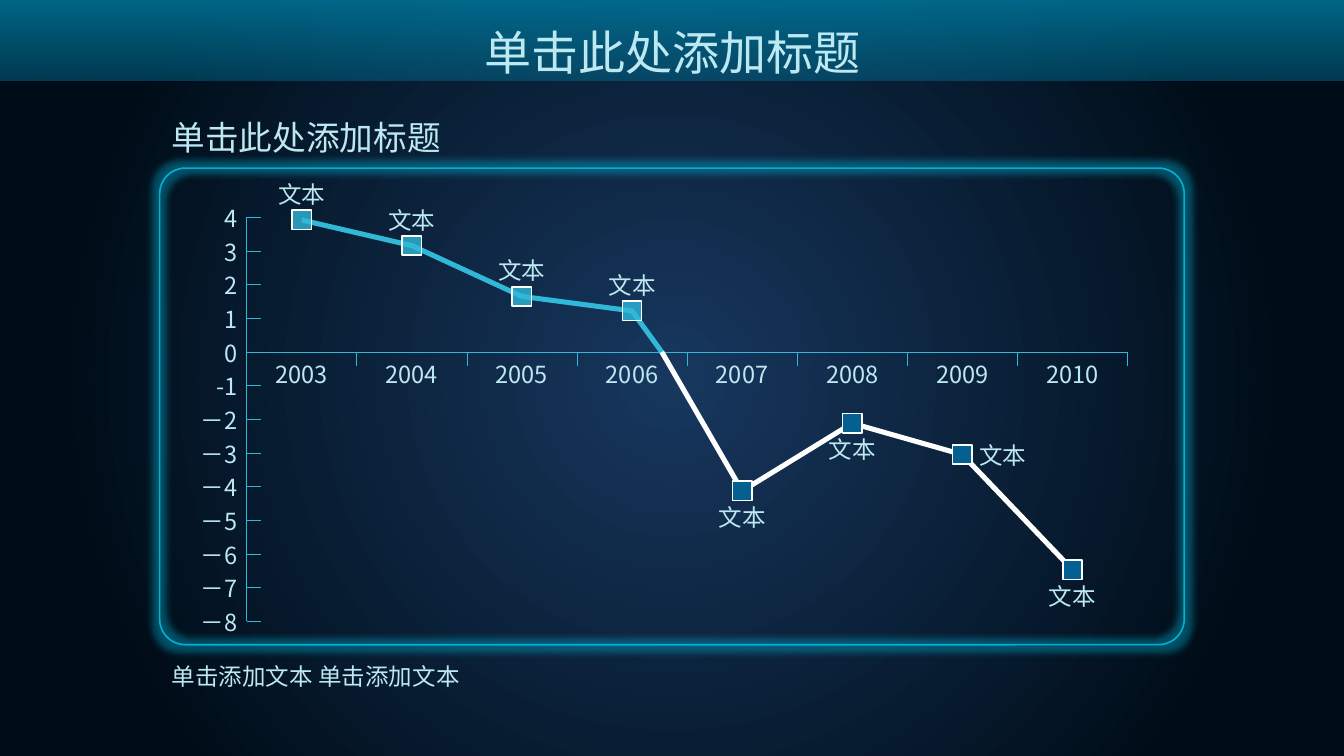
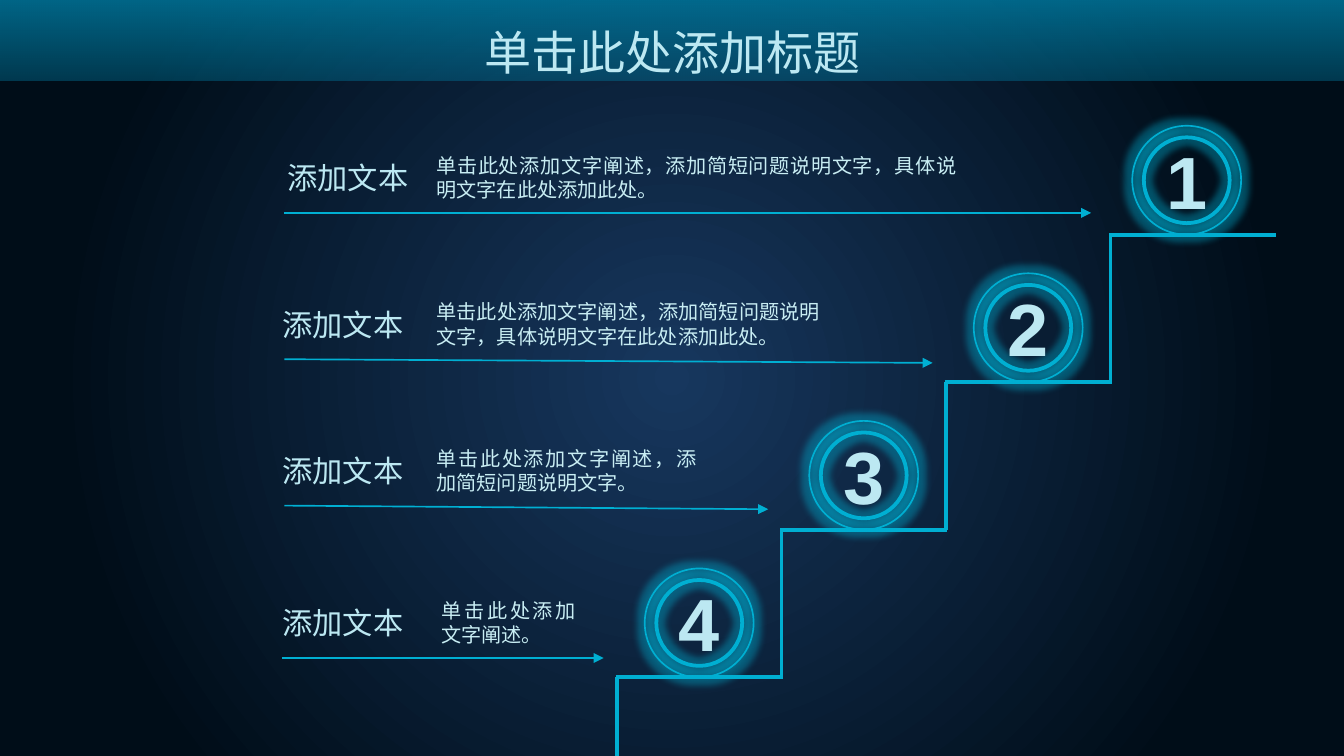
from collections import namedtuple

from lxml import etree
from pptx import Presentation
from pptx.dml import color
from pptx.enum import shapes, text
from pptx.oxml import ns
from pptx.util import Inches, Pt

WIDTH, HEIGHT = 11.11, 6.25
CJK = "Noto Sans CJK SC"
PALE, BODY, CYAN, AXIS, WHITE, BLUE = "BCE8F2", "C8EDF3", "00AFD2", "30B8D8", "FFFFFF", "046091"
LEFT, CENTER, RIGHT, JUSTIFY = (
    text.PP_ALIGN.LEFT, text.PP_ALIGN.CENTER, text.PP_ALIGN.RIGHT, text.PP_ALIGN.JUSTIFY)
RECT, ROUNDED, OVAL = (
    shapes.MSO_SHAPE.RECTANGLE, shapes.MSO_SHAPE.ROUNDED_RECTANGLE, shapes.MSO_SHAPE.OVAL)

AXIS_X, ZERO_Y, YEAR_STEP, UNIT = 2.04, 2.91, 0.91, 0.2783
FIRST_YEAR = 2003
VALUES = [3.92, 3.16, 1.65, 1.22, -4.13, -2.12, -3.05, -6.47]
LABEL_SIDES = ["above"] * 4 + ["below", "below", "right", "below"]
LABEL_PLACES = {"above": (-0.34, -0.38, CENTER), "below": (-0.34, 0.05, CENTER),
                "right": (0.04, -0.16, LEFT)}
SCALE_LABELS = ["4", "3", "2", "1", "0", "-1", "－2", "－3", "－4", "－5", "－6", "－7", "－8"]
ZERO_CROSSING = (2006.27, 0)

LONG_TEXT = "单击此处添加文字阐述，添加简短问题说明文字，具体说明文字在此处添加此处。"
Step = namedtuple("Step", "ring_x row_y label_x label_w body_x body_w arrow_x slope body")
STEPS = [
    Step(9.36, 1.22, 2.17, 1.41, 3.51, 4.50, 2.35, 0, LONG_TEXT),
    Step(8.05, 2.43, 2.23, 1.21, 3.51, 3.37, 2.35, 0.03, LONG_TEXT),
    Step(6.69, 3.64, 2.23, 1.21, 3.51, 2.35, 2.35, 0.03, "单击此处添加文字阐述，添加简短问题说明文字。"),
    Step(5.33, 4.90, 2.23, 1.21, 3.55, 1.31, 2.33, 0, "单击此处添加文字阐述。"),
]


def rgb(code):
    return color.RGBColor.from_string(code)


def add_node(parent, tag, **attributes):
    return etree.SubElement(parent, ns.qn(tag), attributes)


def set_alpha(host, percent):
    add_node(host.find(".//" + ns.qn("a:srgbClr")), "a:alpha", val=str(percent * 1000))


def paint_gradient(host, stops, angle=None):
    solid = host.find(".//" + ns.qn("a:solidFill"))
    gradient = etree.Element(ns.qn("a:gradFill"), rotWithShape="1")
    stop_list = add_node(gradient, "a:gsLst")
    for position, code, alpha in stops:
        stop = add_node(stop_list, "a:gs", pos=str(position * 1000))
        add_node(stop, "a:srgbClr", val=code)
        if alpha < 100:
            set_alpha(stop, alpha)
    if angle is None:
        circle = add_node(gradient, "a:path", path="circle")
        add_node(circle, "a:fillToRect", l="50000", t="50000", r="50000", b="50000")
    else:
        add_node(gradient, "a:lin", ang=str(angle * 60000), scaled="0")
    solid.getparent().replace(solid, gradient)


def style_shape(shape, fill=None, alpha=100, line=None, width=1):
    shape.shadow.inherit = False
    if fill:
        shape.fill.solid()
        shape.fill.fore_color.rgb = rgb(fill)
        if alpha < 100:
            set_alpha(shape._element.spPr, alpha)
    else:
        shape.fill.background()
    if line:
        shape.line.color.rgb = rgb(line)
        shape.line.width = Pt(width)
    else:
        shape.line.fill.background()


def add_box(page, kind, x, y, w, h, **style):
    shape = page.shapes.add_shape(kind, Inches(x), Inches(y), Inches(w), Inches(h))
    style_shape(shape, **style)
    return shape


def add_glow(shape):
    effects = shape._element.spPr.find(ns.qn("a:effectLst"))
    glow = add_node(effects, "a:glow", rad=str(Pt(8)))
    add_node(glow, "a:srgbClr", val=CYAN)
    set_alpha(glow, 40)


def add_line(page, x1, y1, x2, y2, code, width, arrow=False):
    line = page.shapes.add_connector(
        shapes.MSO_CONNECTOR.STRAIGHT, Inches(x1), Inches(y1), Inches(x2), Inches(y2))
    line.line.color.rgb = rgb(code)
    line.line.width = Pt(width)
    if arrow:
        add_node(line.line._get_or_add_ln(), "a:tailEnd", type="triangle")
    add_node(line._element.spPr, "a:effectLst")


def add_text(page, words, x, y, w, h, size=14, align=LEFT, code=PALE, font=CJK,
             bold=False, wrap=True):
    box = page.shapes.add_textbox(Inches(x), Inches(y), Inches(w), Inches(h))
    frame = box.text_frame
    frame.word_wrap = wrap
    frame.auto_size = text.MSO_AUTO_SIZE.SHAPE_TO_FIT_TEXT
    para = frame.paragraphs[0]
    para.text = words
    para.alignment = align
    para.font.size = Pt(size)
    para.font.bold = bold
    para.font.color.rgb = rgb(code)
    para.font.name = font
    add_node(para.font._rPr, "a:ea", typeface=font)
    return para


def add_polyline(page, points, code):
    corners = [(Inches(x), Inches(y)) for x, y in points]
    builder = page.shapes.build_freeform(*corners[0])
    builder.add_line_segments(corners[1:], close=False)
    style_shape(builder.convert_to_shape(), line=code, width=3)


def set_up_master(deck, page):
    master = deck.slide_master
    fill = master.background.fill
    fill.solid()
    fill.fore_color.rgb = rgb("17375E")
    paint_gradient(master._element.cSld, [(0, "17375E", 100), (80, "000D18", 100)])
    band = add_box(page, RECT, 0, 0, WIDTH, 0.67, fill="007DA4")
    paint_gradient(band._element.spPr, [(0, "007DA4", 80), (100, "007DA4", 39)], 90)
    master.shapes._spTree.insert(2, band._element)


def add_title(page):
    para = add_text(page, "单击此处添加标题", 3.44, 0.05, 4.24, 0.67, 28, CENTER)
    para.line_spacing = 1.2
    paint_gradient(para._p, [(0, "4EC3DE", 100), (40, PALE, 100),
                             (60, PALE, 100), (100, "4EC3DE", 100)], 0)


def locate(year, value):
    return AXIS_X + YEAR_STEP * (year - FIRST_YEAR + 0.5), ZERO_Y - UNIT * value


def add_axes(page):
    top, bottom = ZERO_Y - 4 * UNIT, ZERO_Y + 8 * UNIT
    add_line(page, AXIS_X, bottom, AXIS_X, top, AXIS, 0.5)
    for row, label in enumerate(SCALE_LABELS):
        y = top + row * UNIT
        add_line(page, AXIS_X, y, AXIS_X + 0.12, y, AXIS, 0.5)
        add_text(page, label, 1.47, y - 0.16, 0.59, 0.34, align=RIGHT)
    count = len(VALUES)
    add_line(page, AXIS_X, ZERO_Y, AXIS_X + count * YEAR_STEP, ZERO_Y, AXIS, 0.5)
    for column in range(count):
        tick = AXIS_X + (column + 1) * YEAR_STEP
        add_line(page, tick, ZERO_Y, tick, ZERO_Y + 0.12, AXIS, 0.5)
        add_text(page, str(FIRST_YEAR + column), tick - 0.89, 2.93, 0.87, 0.34, align=CENTER)


def add_curve(page):
    points = [locate(FIRST_YEAR + i, value) for i, value in enumerate(VALUES)]
    crossing = locate(*ZERO_CROSSING)
    add_polyline(page, points[:4] + [crossing], AXIS)
    add_polyline(page, [crossing] + points[4:], WHITE)
    for (x, y), value, side in zip(points, VALUES, LABEL_SIDES):
        fill, alpha = (AXIS, 80) if value > 0 else (BLUE, 100)
        add_box(page, RECT, x - 0.08, y - 0.08, 0.16, 0.16, fill=fill, alpha=alpha, line=WHITE)
        dx, dy, align = LABEL_PLACES[side]
        add_text(page, "文本", x + dx, y + dy, 0.68, 0.34, align=align)


def build_trend(page):
    add_title(page)
    frame = add_box(page, ROUNDED, 1.32, 1.39, 8.47, 3.94, line=CYAN)
    frame.adjustments[0] = 0.054
    add_glow(frame)
    add_axes(page)
    add_text(page, "单击此处添加标题", 1.32, 0.92, 3.55, 0.44, 20)
    add_text(page, "单击添加文本 单击添加文本", 1.32, 5.42, 8.45, 0.34)
    add_curve(page)


def add_ring(page, number, x, y):
    for inset, width in ((0, 1), (0.095, 2.25)):
        size = 0.9 - 2 * inset
        add_glow(add_box(page, OVAL, x + inset, y + inset, size, size, line=CYAN, width=width))
    add_text(page, str(number), x + 0.18, y + 0.03, 0.55, 0.84, 44,
             font="Arial", bold=True, wrap=False)


def add_step(page, number, step):
    tread_x = 9.17 - 1.36 * (number - 1)
    tread_y = 1.94 + 1.22 * (number - 1)
    add_line(page, tread_x, tread_y, tread_x + 1.38, tread_y, CYAN, 2.25)
    add_line(page, tread_x + 0.01, tread_y, tread_x + 0.01,
             min(tread_y + 1.22, HEIGHT), CYAN, 2.25)
    add_ring(page, number, step.ring_x, tread_y - 0.9)
    arrow_y = step.row_y + 0.54
    add_line(page, step.arrow_x, arrow_y, step.ring_x - 0.34, arrow_y + step.slope,
             CYAN, 1, arrow=True)
    add_text(page, "添加文本", step.label_x, step.row_y + 0.05, step.label_w, 0.4, 18, CENTER)
    add_text(page, step.body, step.body_x, step.row_y, step.body_w, 0.5, 12, JUSTIFY, BODY)


def build_stairs(page):
    for number, step in enumerate(STEPS, 1):
        add_step(page, number, step)
    add_title(page)


def main():
    deck = Presentation()
    deck.slide_width, deck.slide_height = Inches(WIDTH), Inches(HEIGHT)
    trend, stairs = [deck.slides.add_slide(deck.slide_layouts[6]) for _ in range(2)]
    set_up_master(deck, trend)
    build_trend(trend)
    build_stairs(stairs)
    deck.save("out.pptx")


if __name__ == "__main__":
    main()
